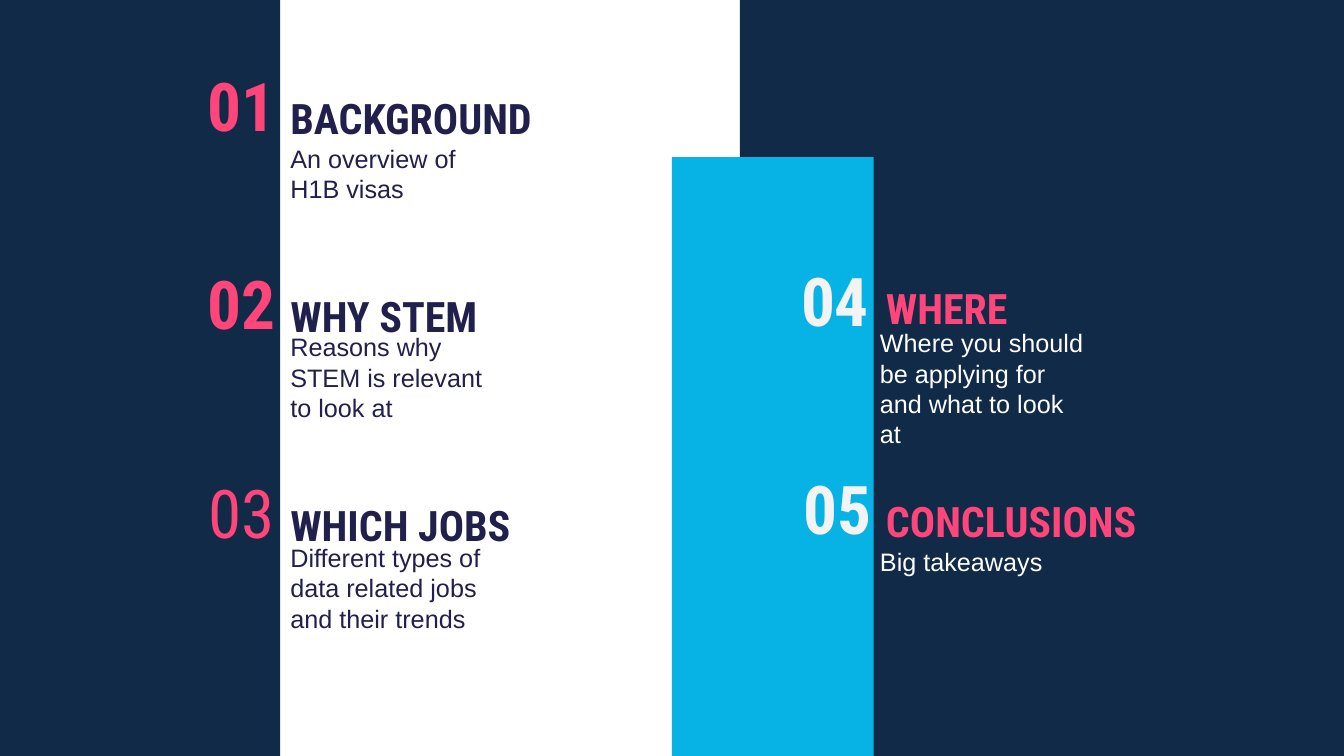
import dataclasses

import pptx
import pptx.dml.color
import pptx.enum.shapes
import pptx.enum.text
import pptx.util

ALIGN = pptx.enum.text.PP_ALIGN
ANCHOR = pptx.enum.text.MSO_ANCHOR


@dataclasses.dataclass(frozen=True)
class Theme:
    navy: str = "102A47"
    cyan: str = "07B2E4"
    pink: str = "FF457A"
    ink: str = "21204D"
    pale: str = "F3F3F3"
    white: str = "FFFFFF"
    heading_font: str = "Roboto Condensed"
    body_font: str = "Arial"
    number_size: int = 48
    title_size: int = 30
    body_size: int = 18


def apply(target, values):
    for name, value in values.items():
        setattr(target, name, value)


class Deck:
    def __init__(self, theme):
        self.theme = theme
        self.prs = pptx.Presentation()
        apply(self.prs, {
            "slide_width": pptx.util.Inches(13.33),
            "slide_height": pptx.util.Inches(7.5),
        })
        self.s = self.prs.slides.add_slide(self.prs.slide_layouts[6])
        fill = self.s.background.fill
        fill.solid()
        fill.fore_color.rgb = pptx.dml.color.RGBColor.from_string(theme.white)

    def place(self, left, top, width, height):
        w, h = self.prs.slide_width, self.prs.slide_height
        shares = ((left, w), (top, h), (width, w), (height, h))
        return [round(share * size / 100) for share, size in shares]

    def panel(self, box, color):
        sp = self.s.shapes.add_shape(
            pptx.enum.shapes.MSO_SHAPE.RECTANGLE, *self.place(*box))
        sp.shadow.inherit = False
        sp.fill.solid()
        sp.fill.fore_color.rgb = pptx.dml.color.RGBColor.from_string(color)
        sp.line.fill.background()

    def text(self, shapes, box, text, color, font, anchor=ANCHOR.TOP, **paragraph):
        tf = shapes.add_textbox(*self.place(*box)).text_frame
        side, edge = pptx.util.Inches(0.07), pptx.util.Inches(0.04)
        apply(tf, {
            "word_wrap": True,
            "vertical_anchor": anchor,
            "margin_left": side,
            "margin_right": side,
            "margin_top": edge,
            "margin_bottom": edge,
        })
        p = tf.paragraphs[0]
        apply(p, paragraph)
        r = p.add_run()
        r.text = text
        apply(r.font, font)
        r.font.color.rgb = pptx.dml.color.RGBColor.from_string(color)

    def heading(self, number, title, number_at, title_at, title_width, colors, bold):
        t = self.theme
        shapes = self.s.shapes.add_group_shape().shapes
        number_font = {"name": t.heading_font, "size": pptx.util.Pt(t.number_size), "bold": bold}
        title_font = {"name": t.heading_font, "size": pptx.util.Pt(t.title_size), "bold": True}
        self.text(shapes, (*number_at, 11.25, 7.47), number, colors[0], number_font,
                  ANCHOR.MIDDLE, alignment=ALIGN.RIGHT, line_spacing=0.9)
        self.text(shapes, (*title_at, title_width, 8.67), title, colors[1], title_font,
                  ANCHOR.BOTTOM)

    def summary(self, at, height, text, color):
        font = {"name": self.theme.body_font, "size": pptx.util.Pt(self.theme.body_size)}
        self.text(self.s.shapes, (*at, 16.58, height), text, color, font)


def main():
    t = Theme()
    deck = Deck(t)
    for box, color in (
        ((55.05, 0, 44.95, 100), t.navy),
        ((50, 20.8, 15, 79.2), t.cyan),
        ((0, 0, 20.85, 100), t.navy),
    ):
        deck.panel(box, color)

    left_topics = (
        ("01", "BACKGROUND", 10.8, 22.65, True, 18.4, 11.47, "An overview of H1B visas"),
        ("02", "WHY STEM", 36.93, 20.85, True, 43.33, 14.8,
         "Reasons why STEM is relevant to look at"),
        ("03", "WHICH JOBS", 64.67, 31.13, False, 71.2, 14.8,
         "Different types of data related jobs and their trends"),
    )
    for number, title, top, width, bold, body_top, height, body in left_topics:
        deck.heading(number, title, (9.75, top), (21.08, top), width, (t.pink, t.ink), bold)
        deck.summary((21.08, body_top), height, body, t.ink)

    right_topics = (
        ("04", "WHERE", (53.93, 36.53), 35.87, 32.7, 42.8,
         "Where you should be applying for and what to look at"),
        ("05", "CONCLUSIONS", (54.15, 64.13), 64.13, 24.23, 71.73, "Big takeaways"),
    )
    for number, title, number_at, top, width, body_top, body in right_topics:
        deck.heading(number, title, number_at, (65.4, top), width, (t.pale, t.pink), True)
        deck.summary((64.95, body_top), 14.8, body, t.white)

    deck.prs.save("out.pptx")


if __name__ == "__main__":
    main()
